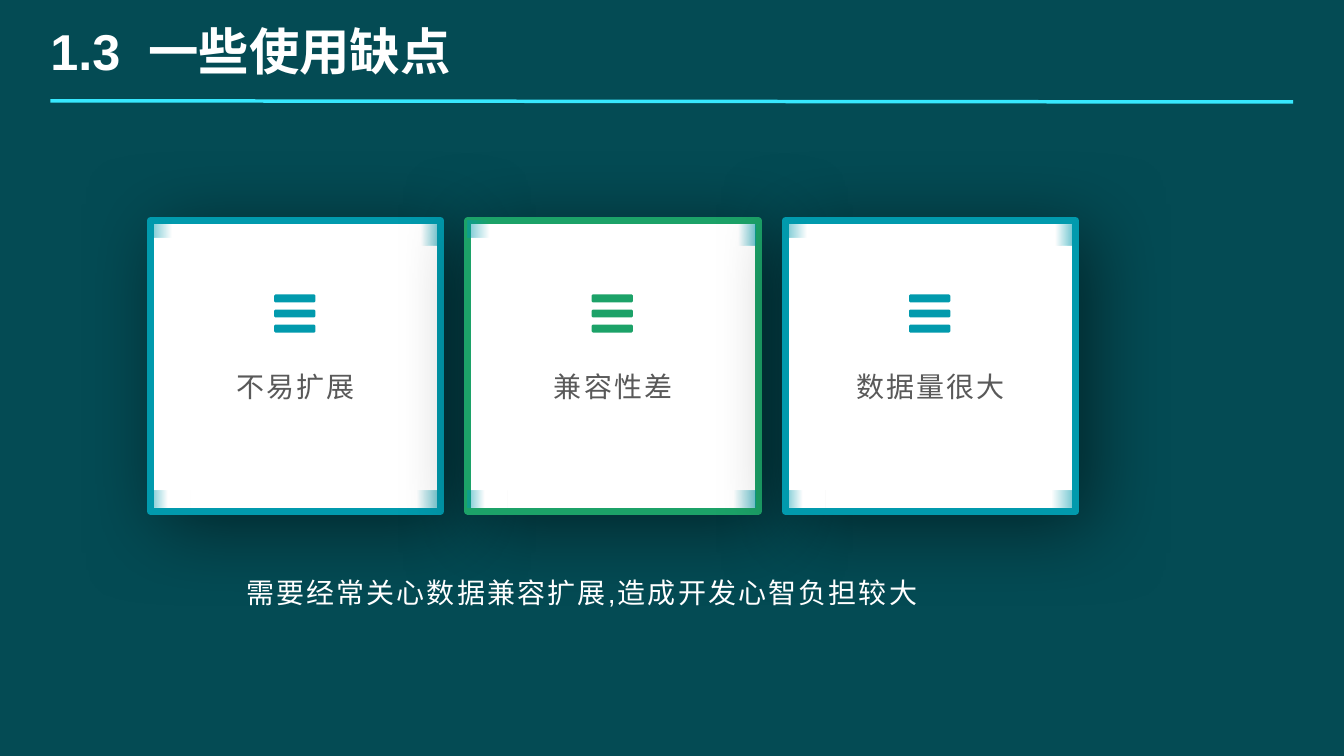
from typing import NamedTuple

from lxml.etree import SubElement
from pptx import Presentation
from pptx.dml.color import RGBColor
from pptx.enum.shapes import MSO_CONNECTOR, MSO_SHAPE
from pptx.enum.text import MSO_ANCHOR, PP_ALIGN
from pptx.oxml import parse_xml
from pptx.oxml.ns import nsdecls, qn
from pptx.util import Cm, Pt

COLORS = {
    "background": "044B54",
    "teal": "019AAD",
    "green": "1CA268",
    "cyan": "37E8FE",
    "white": "FFFFFF",
    "gray": "595959",
    "black": "000000",
}
TITLE_FORMAT = {"name": "Arial", "size": Pt(36), "bold": True}
BODY_FORMAT = {"name": "Arial", "size": Pt(20)}

# Lengths in centimetres
CARD_LEFT, CARD_TOP, CARD_SIZE, CARD_STEP = 3.79, 5.56, 7.32, 8.0
BAR_WIDTH, BAR_HEIGHT, BAR_STEP, BAR_CUT = 1.04, 0.2, 0.38, 0.03


class Frame(NamedTuple):
    left: float
    top: float
    width: float
    height: float


class Card(NamedTuple):
    label: str
    color: str


class Corner(NamedTuple):
    frame: Frame  # relative to the card
    angle: int


CARDS = [Card("不易扩展", "teal"), Card("兼容性差", "green"), Card("数据量很大", "teal")]
CORNERS = [
    Corner(Frame(5.98, 6.81, 1.27, 0.43), 180),
    Corner(Frame(0, 6.81, 1.01, 0.43), 0),
    Corner(Frame(0, 0, 1.27, 0.43), 0),
    Corner(Frame(6.24, 0.1, 1.01, 0.53), 180),
]


def rgb(name: str) -> RGBColor:
    return RGBColor.from_string(COLORS[name])


def add_rectangle(page, frame: Frame):
    box = page.shapes.add_shape(MSO_SHAPE.RECTANGLE, *map(Cm, frame))
    box.shadow.inherit = False
    return box


def add_span(para, text: str, formats: dict, color: str, spacing: float = 0) -> None:
    span = para.add_run()
    span.text = text
    for name, value in formats.items():
        setattr(span.font, name, value)
    span.font.color.rgb = rgb(color)
    if spacing:
        span._r.get_or_add_rPr().set("spc", str(int(spacing * 100)))


def add_centered_text(page, frame: Frame, text: str, color: str) -> None:
    box = page.shapes.add_textbox(*map(Cm, frame))
    box.text_frame.word_wrap = True
    para = box.text_frame.paragraphs[0]
    para.alignment = PP_ALIGN.CENTER
    para.line_spacing = 1.3
    add_span(para, text, BODY_FORMAT, color, 1.5)


def add_panel(page, left: float, color: str) -> None:
    panel = add_rectangle(page, Frame(left, CARD_TOP, CARD_SIZE, CARD_SIZE))
    panel.fill.solid()
    panel.fill.fore_color.rgb = rgb("white")
    panel.line.color.rgb = rgb(color)
    panel.line.width = Pt(5)
    effects = panel._element.spPr.find(qn("a:effectLst"))
    effects.append(parse_xml(
        f'<a:outerShdw {nsdecls("a")} blurRad="{Pt(58)}" dist="{Pt(12)}" dir="2700000" '
        f'algn="ctr" rotWithShape="0"><a:srgbClr val="{COLORS["black"]}">'
        '<a:alpha val="49000"/></a:srgbClr></a:outerShdw>'))


def add_corner(page, left: float, corner: Corner) -> None:
    frame = corner.frame
    box = add_rectangle(page, frame._replace(left=left + frame.left, top=CARD_TOP + frame.top))
    box.line.fill.background()
    box.fill.gradient()
    box.fill.gradient_angle = corner.angle
    for stop, position, opacity in zip(box.fill.gradient_stops, (0, 0.43), (56, 0)):
        stop.position = position
        stop.color.rgb = rgb("teal")
    for color, opacity in zip(box._element.spPr.iter(qn("a:srgbClr")), (56, 0)):
        SubElement(color, qn("a:alpha")).set("val", str(opacity * 1000))


def add_menu_icon(page, left: float, top: float, color: str) -> None:
    right, cut = left + BAR_WIDTH, BAR_CUT
    builder = None
    for index in range(3):
        upper = top + index * BAR_STEP
        lower = upper + BAR_HEIGHT
        outline = [
            (left + cut, upper), (right - cut, upper), (right, upper + cut),
            (right, lower - cut), (right - cut, lower), (left + cut, lower),
            (left, lower - cut), (left, upper + cut),
        ]
        points = [(Cm(x), Cm(y)) for x, y in outline]
        if builder is None:
            builder = page.shapes.build_freeform(*points[0])
        else:
            builder.move_to(*points[0])
        builder.add_line_segments(points[1:], close=True)
    icon = builder.convert_to_shape()
    icon.shadow.inherit = False
    icon.fill.solid()
    icon.fill.fore_color.rgb = rgb(color)
    icon.line.fill.background()


def add_card(page, index: int, card: Card) -> None:
    left = CARD_LEFT + index * CARD_STEP
    add_panel(page, left, card.color)
    for corner in CORNERS:
        add_corner(page, left, corner)
    add_centered_text(page, Frame(left + 0.34, 8.92, 6.65, 3.61), card.label, "gray")
    add_menu_icon(page, left + 3.12, 7.42, card.color)


def add_title(page) -> None:
    box = page.shapes.add_textbox(Cm(1.27), Cm(0.43), Cm(31.32), Cm(1.7))
    frame_format = {"word_wrap": True, "vertical_anchor": MSO_ANCHOR.MIDDLE,
                    "margin_left": 0, "margin_top": 0, "margin_right": 0, "margin_bottom": 0}
    for name, value in frame_format.items():
        setattr(box.text_frame, name, value)
    para = box.text_frame.paragraphs[0]
    for text, spacing in (("1.3", 0), (" ", 10), ("一些使用缺点", 0)):
        add_span(para, text, TITLE_FORMAT, "white", spacing)


def add_title_rule(page) -> None:
    rule = page.shapes.add_connector(
        MSO_CONNECTOR.STRAIGHT, Cm(1.27), Cm(2.54), Cm(32.59), Cm(2.57))
    rule.line.color.rgb = rgb("cyan")
    rule.line.width = Pt(2.5)
    SubElement(rule._element.spPr, qn("a:effectLst"))


def main() -> None:
    deck = Presentation()
    deck.slide_width, deck.slide_height = Cm(33.87), Cm(19.05)
    page = deck.slides.add_slide(deck.slide_layouts[6])
    page.background.fill.solid()
    page.background.fill.fore_color.rgb = rgb("background")

    # Cards
    for index, card in enumerate(CARDS):
        add_card(page, index, card)

    # Caption
    add_centered_text(page, Frame(2.34, 14.12, 24.64, 3.61),
                      "需要经常关心数据兼容扩展,造成开发心智负担较大", "white")

    # Heading
    add_title_rule(page)
    add_title(page)
    deck.save("out.pptx")


if __name__ == "__main__":
    main()
